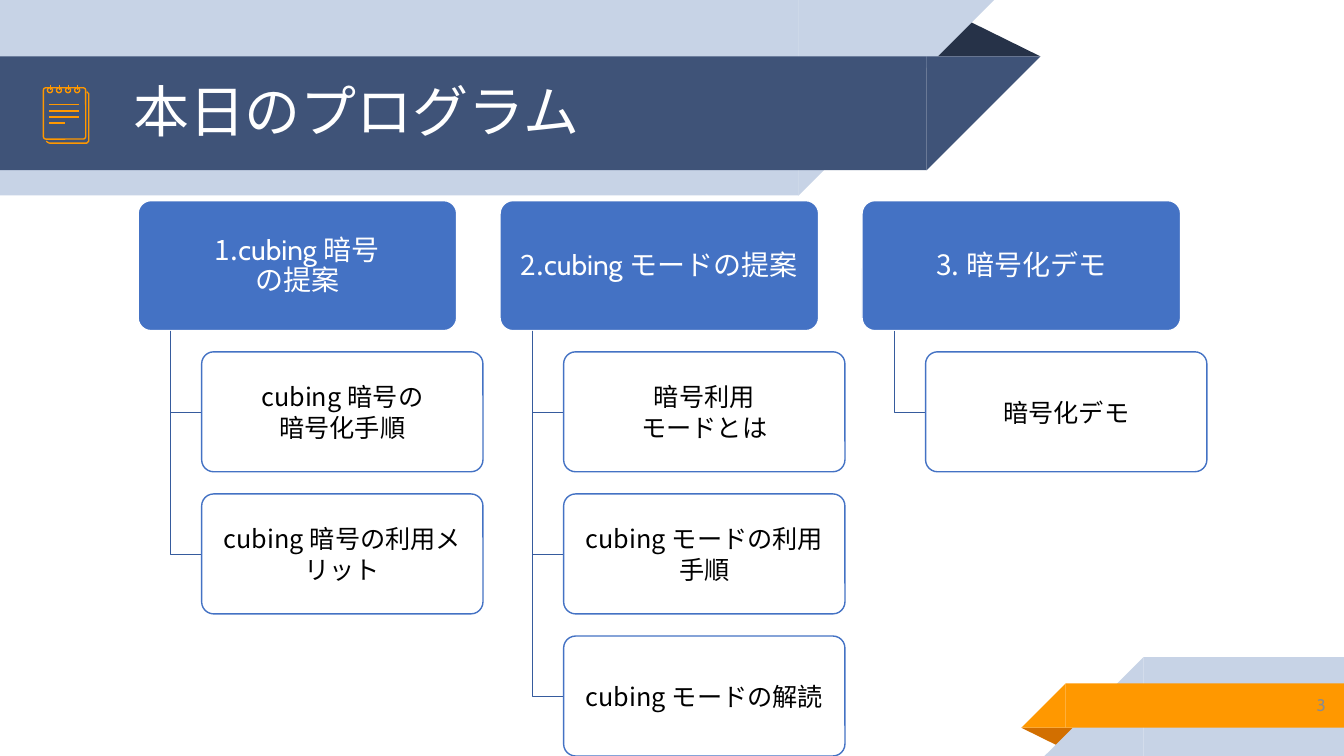
from dataclasses import dataclass

from lxml import etree
from pptx import Presentation
from pptx import util as u
from pptx.dml.color import RGBColor
from pptx.enum import shapes, text
from pptx.oxml.ns import qn

WHITE = RGBColor(0xFF, 0xFF, 0xFF)
BLACK = RGBColor(0x00, 0x00, 0x00)
PALE_BLUE = RGBColor(0xC7, 0xD3, 0xE6)
NAVY = RGBColor(0x3F, 0x53, 0x78)
DARK_NAVY = RGBColor(0x26, 0x32, 0x48)
ORANGE = RGBColor(0xFF, 0x98, 0x00)
DARK_ORANGE = RGBColor(0xD2, 0x6F, 0x00)
HEADER_BLUE = RGBColor(0x44, 0x72, 0xC4)
BRANCH_BLUE = RGBColor(0x36, 0x5B, 0x9D)
GREY = RGBColor(0x8C, 0x8C, 0x8C)

JAPANESE = "Noto Sans CJK JP"
LATIN = "Cabin"
PRESET = shapes.MSO_SHAPE
ALIGN = text.PP_ALIGN
ICON_WIDTH = 0.96

Box = tuple[float, float, float, float]
Point = tuple[float, float]


@dataclass
class Run:
    words: str
    font: str = JAPANESE


@dataclass
class Style:
    size: float
    color: RGBColor
    align: ALIGN = ALIGN.CENTER
    spacing: object = None
    margins: Point = (0.07, 0.07)


@dataclass
class Piece:
    preset: PRESET
    box: Box
    color: RGBColor
    rotation: float = 0
    flipped: bool = False


@dataclass
class Topic:
    header: list[list[Run]]
    cards: list[list[str]]


TITLE = Style(40, WHITE, ALIGN.LEFT, 0.9, (0.13, 0.13))
NUMBER = Style(12, GREY, ALIGN.RIGHT, None, (0.13, 0.13))
HEADER = Style(20, WHITE, spacing=u.Pt(22))
CARD = Style(18, BLACK, spacing=u.Pt(22))

RIBBONS = [
    # Title banner
    Piece(PRESET.ISOSCELES_TRIANGLE, (9.18, 0.18, 1.14, 0.38), DARK_NAVY),
    Piece(PRESET.RECTANGLE, (0, 0, 7.92, 1.94), PALE_BLUE),
    Piece(PRESET.RIGHT_TRIANGLE, (7.92, 0, 1.94, 1.94), PALE_BLUE, 180, True),
    Piece(PRESET.RECTANGLE, (0, 0.56, 9.19, 1.13), NAVY),
    Piece(PRESET.RIGHT_TRIANGLE, (9.19, 0.56, 1.13, 1.13), NAVY, 180, True),
    # Page number ribbon
    Piece(PRESET.ISOSCELES_TRIANGLE, (10.13, 7.22, 0.57, 0.19), DARK_ORANGE, 180),
    Piece(PRESET.RECTANGLE, (11.34, 6.52, 1.99, 0.98), PALE_BLUE),
    Piece(PRESET.RIGHT_TRIANGLE, (10.36, 6.52, 0.98, 0.98), PALE_BLUE, 0, True),
    Piece(PRESET.RECTANGLE, (10.57, 6.78, 2.76, 0.44), ORANGE),
    Piece(PRESET.RIGHT_TRIANGLE, (10.13, 6.78, 0.44, 0.44), ORANGE, 0, True),
]

TOPICS = [
    Topic([[Run("1."), Run("cubing", LATIN), Run("暗号")], [Run("の提案")]],
          [["cubing暗号の", "暗号化手順"], ["cubing暗号の利用メリット"]]),
    Topic([[Run("2."), Run("cubing", LATIN), Run("モードの提案")]],
          [["暗号利用", "モードとは"], ["cubingモードの利用手順"], ["cubingモードの解読"]]),
    Topic([[Run("3.暗号化デモ")]], [["暗号化デモ"]]),
]


def add_preset(slide, preset: PRESET, box: Box, fill: RGBColor | None = None,
               line: RGBColor | None = None, width: float = 1):
    shape = slide.shapes.add_shape(preset, *map(u.Inches, box))
    shape.shadow.inherit = False
    if fill is None:
        shape.fill.background()
    else:
        shape.fill.solid()
        shape.fill.fore_color.rgb = fill
    if line is None:
        shape.line.fill.background()
    else:
        shape.line.color.rgb = line
        shape.line.width = u.Pt(width)
    return shape


def add_path(slide, points: list[Point], color: RGBColor, width: float) -> None:
    start, *rest = [(u.Inches(x), u.Inches(y)) for x, y in points]
    builder = slide.shapes.build_freeform(*start)
    builder.add_line_segments(rest, close=False)
    shape = builder.convert_to_shape()
    shape.shadow.inherit = False
    shape.fill.background()
    shape.line.color.rgb = color
    shape.line.width = u.Pt(width)


def add_stroke(slide, start: Point, end: Point) -> None:
    connector = slide.shapes.add_connector(
        shapes.MSO_CONNECTOR.STRAIGHT, *map(u.Inches, start + end))
    connector.line.color.rgb = ORANGE
    connector.line.width = u.Pt(ICON_WIDTH)
    etree.SubElement(connector._element.spPr, qn("a:effectLst"))


def write(shape, lines: list[list[Run]], style: Style) -> None:
    frame = shape.text_frame
    frame.word_wrap = True
    frame.vertical_anchor = text.MSO_ANCHOR.MIDDLE
    frame.margin_left = frame.margin_right = u.Inches(style.margins[0])
    frame.margin_top = frame.margin_bottom = u.Inches(style.margins[1])
    for index, line in enumerate(lines):
        paragraph = frame.add_paragraph() if index else frame.paragraphs[0]
        paragraph.alignment = style.align
        paragraph.line_spacing = style.spacing
        for item in line:
            run = paragraph.add_run()
            run.text = item.words
            run.font.size = u.Pt(style.size)
            run.font.color.rgb = style.color
            run.font.name = item.font
            etree.SubElement(run.font._element, qn("a:ea"), typeface=item.font)


def add_label(slide, box: Box, run: Run, style: Style) -> None:
    write(slide.shapes.add_textbox(*map(u.Inches, box)), [[run]], style)


def draw_ribbons(slide) -> None:
    for piece in RIBBONS:
        shape = add_preset(slide, piece.preset, piece.box, piece.color)
        shape.rotation = piece.rotation
        if piece.preset == PRESET.ISOSCELES_TRIANGLE:
            shape.adjustments[0] = 0.324
        if piece.flipped:
            shape._element.spPr.find(qn("a:xfrm")).set("flipH", "1")


def draw_notepad(slide) -> None:
    back_sheet = [(0.46, 1.4), (0.47, 1.41), (0.49, 1.42), (0.86, 1.42),
                  (0.88, 1.4), (0.88, 0.93), (0.87, 0.92), (0.86, 0.91)]
    add_path(slide, back_sheet, ORANGE, ICON_WIDTH)
    sheet = add_preset(slide, PRESET.ROUNDED_RECTANGLE, (0.43, 0.87, 0.42, 0.51),
                       line=ORANGE, width=ICON_WIDTH)
    sheet.adjustments[0] = 0.06
    for row, right in enumerate((0.78, 0.78, 0.78, 0.64)):
        y = 1.04 + 0.06 * row
        add_stroke(slide, (0.49, y), (right, y))
    for ring in range(4):
        x = 0.5 + 0.09 * ring
        add_preset(slide, PRESET.OVAL, (x - 0.03, 0.87, 0.05, 0.05),
                   line=ORANGE, width=ICON_WIDTH)
        add_stroke(slide, (x, 0.84), (x, 0.89))


def draw_topic(slide, topic: Topic, left: float) -> None:
    header = add_preset(slide, PRESET.ROUNDED_RECTANGLE, (left, 1.99, 3.16, 1.29),
                        HEADER_BLUE, WHITE)
    header.adjustments[0] = 0.1
    write(header, topic.header, HEADER)
    stem, card_left = left + 0.32, left + 0.63
    for row, lines in enumerate(topic.cards):
        top = 3.49 + 1.41 * row
        middle = top + 0.6
        add_path(slide, [(stem, 3.28), (stem, middle), (card_left, middle)], BRANCH_BLUE, 1)
        card = add_preset(slide, PRESET.ROUNDED_RECTANGLE, (card_left, top, 2.79, 1.19),
                          WHITE, HEADER_BLUE)
        card.adjustments[0] = 0.1
        fill_color = card._element.spPr.find(qn("a:solidFill"))[0]
        etree.SubElement(fill_color, qn("a:alpha"), val="90000")
        write(card, [[Run(line)] for line in lines], CARD)


def main() -> None:
    presentation = Presentation()
    presentation.slide_width = u.Inches(13.33)
    presentation.slide_height = u.Inches(7.5)
    slide = presentation.slides.add_slide(presentation.slide_layouts[6])

    draw_ribbons(slide)
    add_label(slide, (1.19, 0.57, 7.67, 1.12), Run("本日のプログラム"), TITLE)
    add_label(slide, (11.11, 6.76, 2.17, 0.46), Run("3", LATIN), NUMBER)
    draw_notepad(slide)
    for column, topic in enumerate(TOPICS):
        draw_topic(slide, topic, 1.37 + 3.59 * column)

    presentation.save("out.pptx")


if __name__ == "__main__":
    main()
